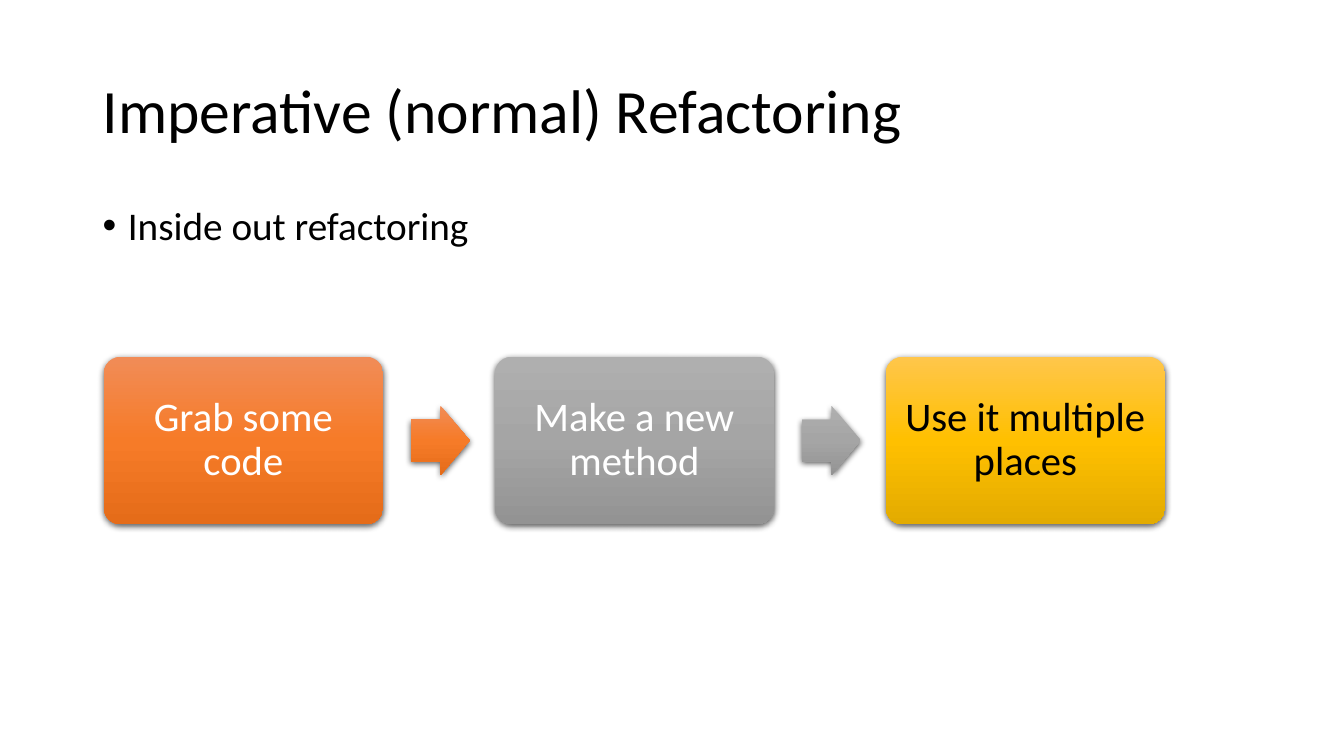
from dataclasses import dataclass

from lxml import etree
from pptx import Presentation
from pptx.dml.color import RGBColor
from pptx.enum.shapes import MSO_SHAPE
from pptx.enum.text import MSO_ANCHOR, PP_ALIGN
from pptx.oxml.ns import qn
from pptx.util import Inches, Pt

BLACK = RGBColor(0x00, 0x00, 0x00)
WHITE = RGBColor(0xFF, 0xFF, 0xFF)
ORANGE = (RGBColor(0xF1, 0x8C, 0x57), RGBColor(0xF6, 0x7B, 0x28), RGBColor(0xE5, 0x6C, 0x19))
GRAY = (RGBColor(0xAF, 0xAF, 0xAF), RGBColor(0xA5, 0xA5, 0xA5), RGBColor(0x93, 0x93, 0x93))
GOLD = (RGBColor(0xFF, 0xC6, 0x4B), RGBColor(0xFF, 0xC0, 0x00), RGBColor(0xE3, 0xAB, 0x00))
FONT = "Calibri"

SLIDE_WIDTH, SLIDE_HEIGHT = Inches(13.33), Inches(7.5)
MARGIN = Inches(0.92)
CONTENT_WIDTH = SLIDE_WIDTH - 2 * MARGIN

FLOW_LEFT = Inches(1.03)
FLOW_MIDDLE = Inches(4.37)
BOX_WIDTH = Inches(2.77)
BOX_HEIGHT = int(BOX_WIDTH * 0.6)
STEP_PITCH = int(BOX_WIDTH * 1.4)
ARROW_OFFSET = int(BOX_WIDTH * 1.1)
ARROW_WIDTH = int(BOX_WIDTH * 0.21)
ARROW_HEIGHT = int(BOX_WIDTH * 0.25)


@dataclass(frozen=True)
class Step:
    text: str
    gradient: tuple[RGBColor, ...]
    text_color: RGBColor


STEPS = (
    Step("Grab some code", ORANGE, WHITE),
    Step("Make a new method", GRAY, WHITE),
    Step("Use it multiple places", GOLD, BLACK),
)


def write(frame, text: str, size: float, color: RGBColor, anchor: MSO_ANCHOR):
    frame.word_wrap = True
    frame.vertical_anchor = anchor
    paragraph = frame.paragraphs[0]
    paragraph.line_spacing = 0.9
    run = paragraph.add_run()
    run.text = text
    run.font.name = FONT
    run.font.size = Pt(size)
    run.font.color.rgb = color
    return paragraph


def add_text(slide, top: float, height: float, text: str, size: float, anchor: MSO_ANCHOR):
    box = slide.shapes.add_textbox(MARGIN, Inches(top), CONTENT_WIDTH, Inches(height))
    return write(box.text_frame, text, size, BLACK, anchor)


def add_bullet(paragraph) -> None:
    properties = paragraph._p.get_or_add_pPr()
    properties.set("marL", str(Inches(0.25)))
    properties.set("indent", str(-Inches(0.25)))
    etree.SubElement(properties, qn("a:buFont"), typeface="Arial")
    etree.SubElement(properties, qn("a:buChar"), char="•")


def add_color(parent, color: RGBColor):
    return etree.SubElement(parent, qn("a:srgbClr"), val=str(color))


def fill_gradient(shape, colors: tuple[RGBColor, ...]) -> None:
    shape.fill.gradient()
    shape.fill.gradient_angle = 270
    stops = shape._element.spPr.find(".//" + qn("a:gsLst"))
    for stop in list(stops):
        stops.remove(stop)
    for index, color in enumerate(colors):
        position = 100000 * index // (len(colors) - 1)
        add_color(etree.SubElement(stops, qn("a:gs"), pos=str(position)), color)


def add_shadow(shape) -> None:
    shape.shadow.inherit = False
    effects = shape._element.spPr.find(qn("a:effectLst"))
    shadow = etree.SubElement(
        effects, qn("a:outerShdw"), blurRad=str(Pt(4.5)), dist=str(Pt(1.5)),
        dir="5400000", algn="ctr", rotWithShape="0",
    )
    etree.SubElement(add_color(shadow, BLACK), qn("a:alpha"), val="63000")


def add_flow_shape(slide, kind: MSO_SHAPE, left: int, width: int, height: int,
                   adjustments: tuple[float, ...], gradient: tuple[RGBColor, ...]):
    shape = slide.shapes.add_shape(kind, left, FLOW_MIDDLE - height // 2, width, height)
    for index, value in enumerate(adjustments):
        shape.adjustments[index] = value
    fill_gradient(shape, gradient)
    shape.line.fill.background()
    add_shadow(shape)
    return shape


def add_step(slide, step: Step, left: int) -> None:
    box = add_flow_shape(slide, MSO_SHAPE.ROUNDED_RECTANGLE, left, BOX_WIDTH, BOX_HEIGHT,
                         (0.1,), step.gradient)
    frame = box.text_frame
    frame.margin_left = frame.margin_right = Inches(0.12)
    frame.margin_top = frame.margin_bottom = Inches(0.12)
    paragraph = write(frame, step.text, 29, step.text_color, MSO_ANCHOR.MIDDLE)
    paragraph.alignment = PP_ALIGN.CENTER


def main() -> None:
    presentation = Presentation()
    presentation.slide_width, presentation.slide_height = SLIDE_WIDTH, SLIDE_HEIGHT
    slide = presentation.slides.add_slide(presentation.slide_layouts[6])

    add_text(slide, 0.4, 1.45, "Imperative (normal) Refactoring", 44, MSO_ANCHOR.MIDDLE)
    point = add_text(slide, 2, 4.76, "Inside out refactoring", 28, MSO_ANCHOR.TOP)
    point.space_before = Pt(10)
    add_bullet(point)

    for index, step in enumerate(STEPS):
        left = FLOW_LEFT + index * STEP_PITCH
        add_step(slide, step, left)
        if index < len(STEPS) - 1:
            add_flow_shape(slide, MSO_SHAPE.RIGHT_ARROW, left + ARROW_OFFSET,
                           ARROW_WIDTH, ARROW_HEIGHT, (0.6, 0.5), step.gradient)

    presentation.save("out.pptx")


main()
